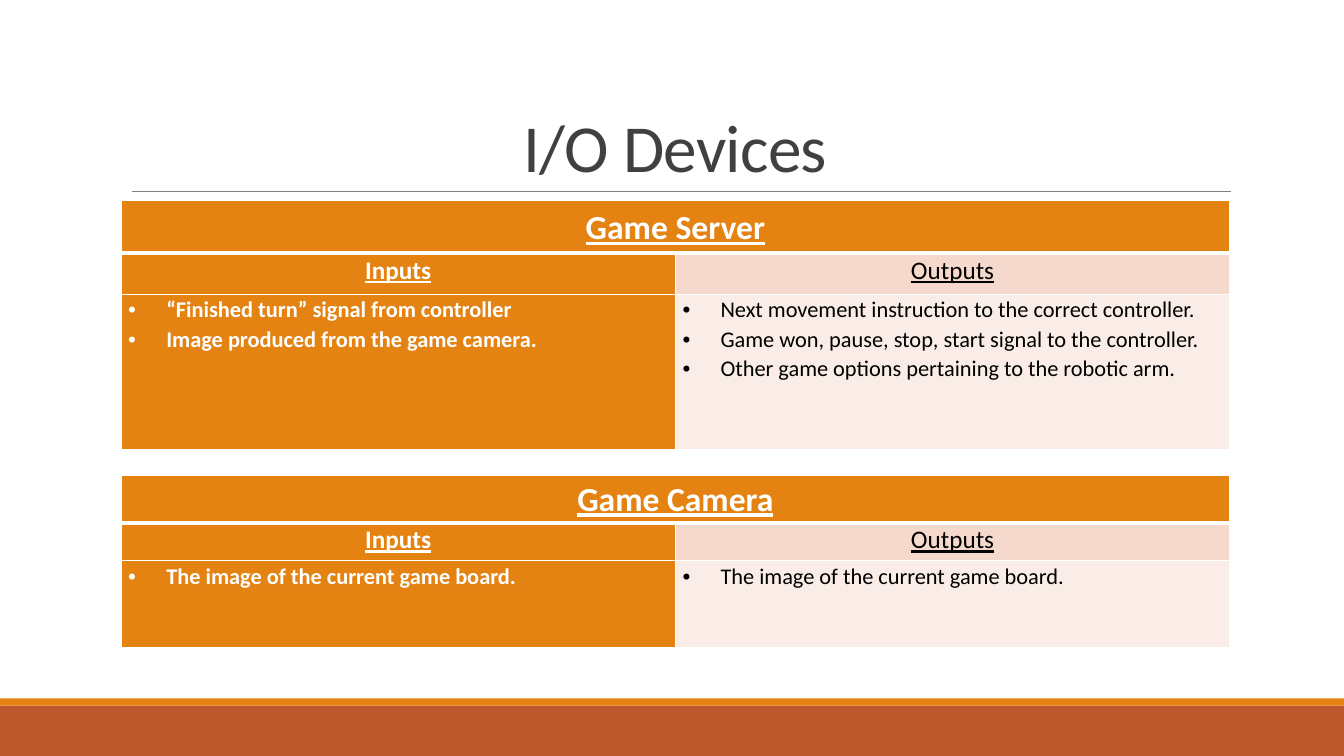
from dataclasses import dataclass

from lxml import etree
from pptx import Presentation
from pptx import util as u
from pptx.dml.color import RGBColor
from pptx.enum import shapes, text
from pptx.oxml import ns


@dataclass(frozen=True)
class Theme:
    font: str = "Calibri"
    rust: str = "BD582C"
    orange: str = "E48312"
    blush: str = "F5D9CC"
    pale: str = "FAEDE7"
    white: str = "FFFFFF"
    black: str = "000000"
    dark: str = "404040"
    rule: str = "808080"
    title: int = 48
    name: int = 24
    head: int = 18
    body: int = 16


T = Theme()
WIDE, HIGH = 33.87, 19.05
LEFT, SPAN = 3.05, 27.94


def rgb(hue):
    return RGBColor.from_string(hue)


def add_run(para, words, size, hue, bold=False, under=False):
    run = para.add_run()
    run.text = words
    font = run.font
    font.name, font.size = T.font, u.Pt(size)
    font.bold, font.underline = bold, under
    font.color.rgb = rgb(hue)
    return run


def add_band(slide, top, tall, hue):
    band = slide.shapes.add_shape(shapes.MSO_SHAPE.RECTANGLE, 0, u.Cm(top),
                                  u.Cm(WIDE), u.Cm(tall))
    band.shadow.inherit = False
    band.fill.solid()
    band.fill.fore_color.rgb = rgb(hue)
    band.line.fill.background()


def add_rule(slide, left, right, top):
    rule = slide.shapes.add_connector(shapes.MSO_CONNECTOR.STRAIGHT, u.Cm(left),
                                      u.Cm(top), u.Cm(right), u.Cm(top))
    rule.line.color.rgb = rgb(T.rule)
    rule.line.width = u.Pt(0.5)
    etree.SubElement(rule._element.spPr, ns.qn("a:effectLst"))


def set_title(slide, words):
    title = slide.shapes.title
    title.left, title.top = u.Cm(LEFT), u.Cm(0.79)
    title.width, title.height = u.Cm(SPAN), u.Cm(4.04)
    frame = title.text_frame
    frame.auto_size = text.MSO_AUTO_SIZE.NONE
    frame.vertical_anchor = text.MSO_ANCHOR.BOTTOM
    para = frame.paragraphs[0]
    para.alignment = text.PP_ALIGN.CENTER
    para.line_spacing = 0.85
    run = add_run(para, words, T.title, T.dark)
    run.font._element.set("spc", "-50")


def set_edges(cell, top=1, bottom=1):
    props = cell._tc.get_or_add_tcPr()
    for tag, wide in (("lnL", 1), ("lnR", 1), ("lnT", top), ("lnB", bottom)):
        line = etree.SubElement(props, ns.qn("a:" + tag), w=str(u.Pt(wide)))
        fill = etree.SubElement(line, ns.qn("a:solidFill"))
        etree.SubElement(fill, ns.qn("a:srgbClr"), val=T.white)


def add_bullet(para):
    props = para._p.get_or_add_pPr()
    props.set("marL", str(u.Cm(0.96)))
    props.set("indent", str(u.Cm(-0.96)))
    etree.SubElement(props, ns.qn("a:buFont"), typeface="Arial")
    etree.SubElement(props, ns.qn("a:buChar"), char="•")


def fill_cell(cell, lines, back, size, hue, bold, head):
    cell.fill.solid()
    cell.fill.fore_color.rgb = rgb(back)
    cell.margin_left = cell.margin_right = u.Cm(0.18)
    cell.margin_top = cell.margin_bottom = 0
    frame = cell.text_frame
    for num, words in enumerate(lines):
        para = frame.add_paragraph() if num else frame.paragraphs[0]
        para.line_spacing = 1.07
        if head:
            para.alignment = text.PP_ALIGN.CENTER
        else:
            add_bullet(para)
        add_run(para, words, size, hue, bold, head)


def add_device(slide, top, rows, name, inputs, outputs):
    frame = slide.shapes.add_table(3, 2, u.Cm(LEFT), u.Cm(top),
                                   u.Cm(SPAN), u.Cm(sum(rows)))
    table = frame.table
    table.horz_banding = False
    for row, tall in zip(table.rows, rows):
        row.height = u.Cm(tall)
    # White grid, with a thick line below the device name
    for num, row in enumerate(table.rows):
        for cell in row.cells:
            set_edges(cell, 3 if num == 1 else 1, 3 if num == 0 else 1)
    # Device name across both columns
    top_cell = table.cell(0, 0)
    top_cell.merge(table.cell(0, 1))
    top_cell.vertical_anchor = text.MSO_ANCHOR.MIDDLE
    fill_cell(top_cell, [name], T.orange, T.name, T.white, True, True)
    # Inputs at left, outputs at right
    sides = (("Inputs", inputs, T.orange, T.orange, T.white, True),
             ("Outputs", outputs, T.blush, T.pale, T.black, False))
    for col, (label, lines, tint, back, hue, bold) in enumerate(sides):
        fill_cell(table.cell(1, col), [label], tint, T.head, hue, bold, True)
        fill_cell(table.cell(2, col), lines, back, T.body, hue, bold, False)


def main():
    deck = Presentation()
    deck.slide_width, deck.slide_height = u.Cm(WIDE), u.Cm(HIGH)
    slide = deck.slides.add_slide(deck.slide_layouts[5])

    # Footer bands and title
    add_band(slide, 17.78, 1.27, T.rust)
    add_band(slide, 17.6, 0.18, T.orange)
    add_rule(slide, 3.33, 31.01, 4.83)
    set_title(slide, "I/O Devices")

    # Devices
    add_device(slide, 5.06, (1.32, 1.04, 3.92), "Game Server",
               ["“Finished turn” signal from controller",
                "Image produced from the game camera."],
               ["Next movement instruction to the correct controller.",
                "Game won, pause, stop, start signal to the controller.",
                "Other game options pertaining to the robotic arm."])
    board = ["The image of the current game board."]
    add_device(slide, 11.97, (1.2, 0.96, 2.18), "Game Camera", board, board)

    deck.save("out.pptx")


main()
